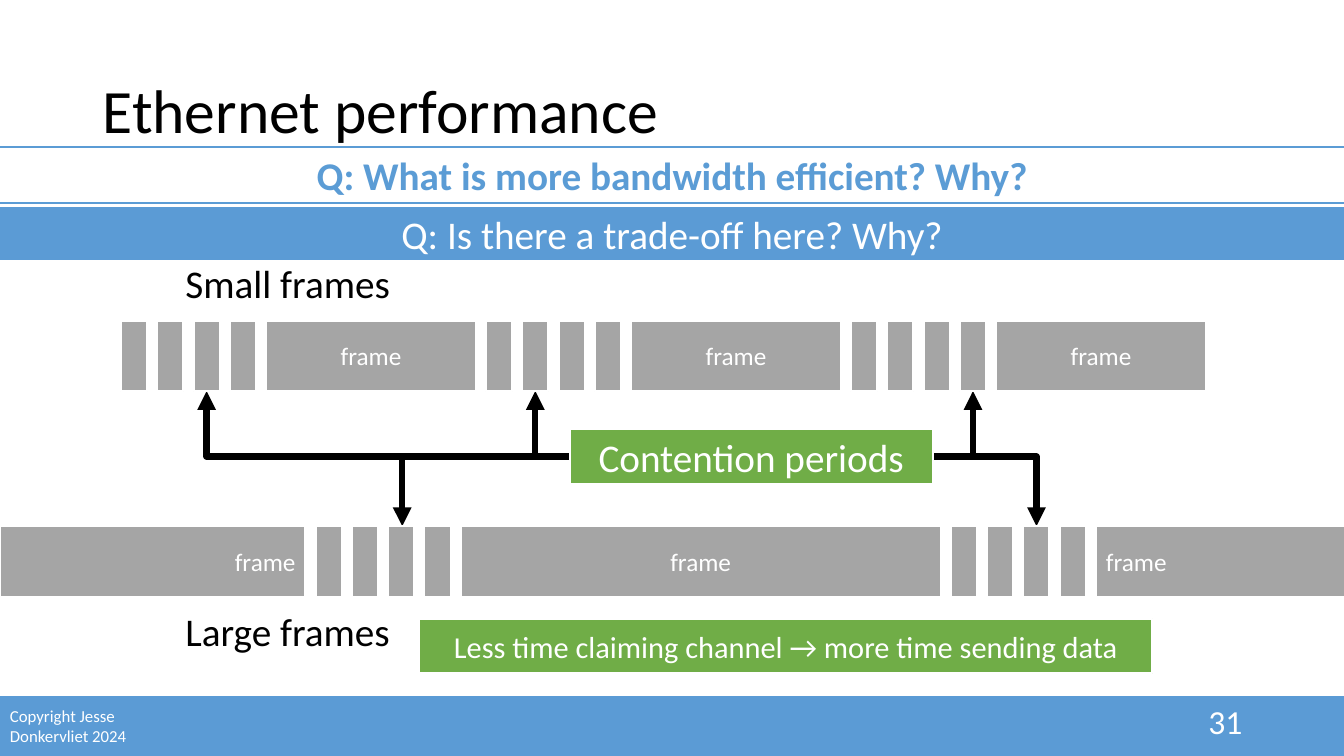
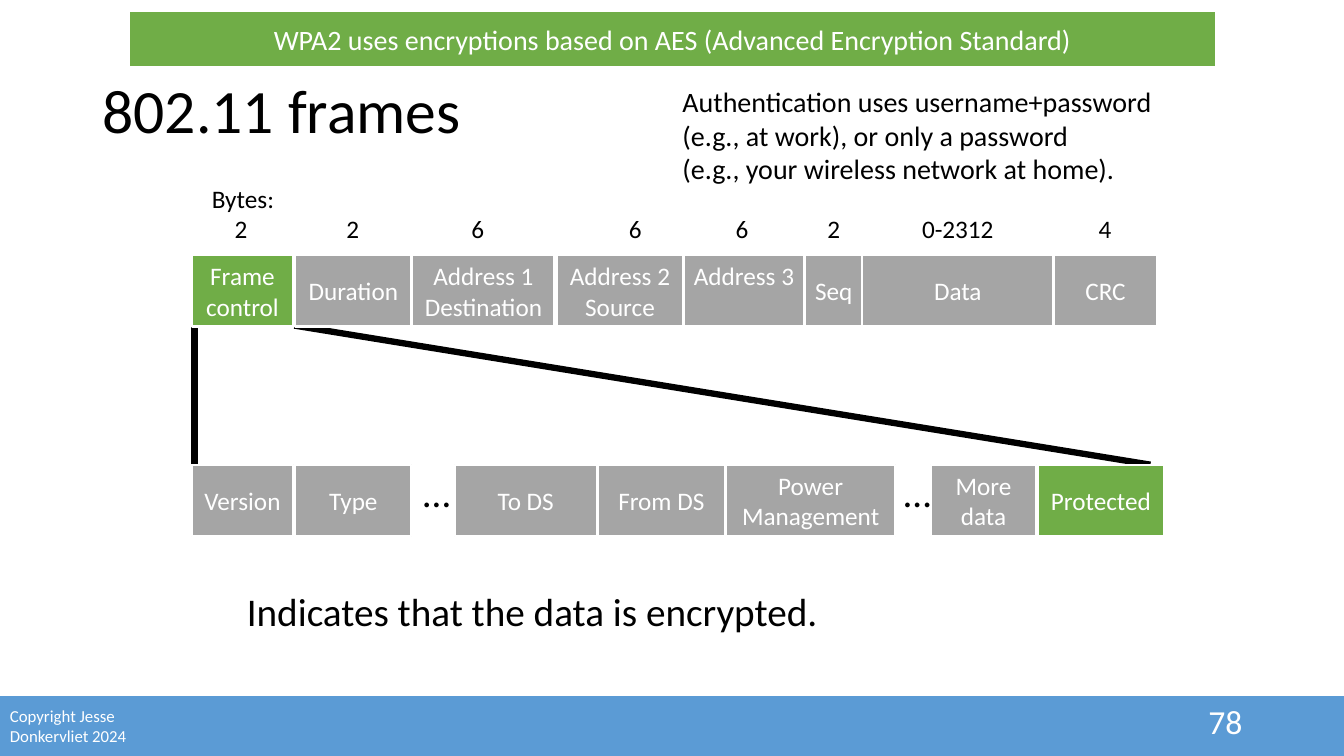
from dataclasses import dataclass
from typing import Any, Optional

import lxml.etree
import pptx
import pptx.dml.color
import pptx.enum.shapes
import pptx.enum.text
import pptx.oxml.ns
import pptx.util

RGBColor = pptx.dml.color.RGBColor
Inches = pptx.util.Inches
ALIGN = pptx.enum.text.PP_ALIGN
ANCHOR = pptx.enum.text.MSO_ANCHOR
CONNECTOR = pptx.enum.shapes.MSO_CONNECTOR

WHITE = RGBColor(0xFF, 0xFF, 0xFF)
BLACK = RGBColor(0x00, 0x00, 0x00)
BLUE = RGBColor(0x5B, 0x9B, 0xD5)
QUESTION_BLUE = RGBColor(0x5B, 0x9C, 0xD5)
GREEN = RGBColor(0x70, 0xAD, 0x47)
GRAY = RGBColor(0xA5, 0xA5, 0xA5)
FONT = "Calibri"

SLOT_WIDTH = 0.26
FRAME_GAP = 0.1
FRAME_HEIGHT = 0.7
SLOTS_PER_CONTENTION = 4
FIELD_HEIGHT = 0.71
BYTES_WIDTH = 1.2


@dataclass(frozen=True)
class Box:
    left: float
    top: float
    width: float
    height: float

    def lengths(self) -> list[int]:
        return [Inches(v) for v in (self.left, self.top, self.width, self.height)]


@dataclass(frozen=True)
class Style:
    size: float
    color: RGBColor = WHITE
    align: Any = ALIGN.CENTER
    anchor: Any = ANCHOR.MIDDLE
    bold: bool = False
    line_spacing: Optional[float] = None


@dataclass(frozen=True)
class Field:
    """One header field; size_center is where its byte count stands."""
    name: str
    left: float
    width: float
    size: str = ""
    size_center: float = 0
    fill: RGBColor = GRAY
    anchor: Any = ANCHOR.MIDDLE


@dataclass(frozen=True)
class Segment:
    """A frame, or an idle slot of a contention period when it has no label."""
    width: float
    label: str = ""
    align: Any = ALIGN.CENTER


@dataclass(frozen=True)
class Arrow:
    start_x: float
    end_x: float
    end_y: float


FRAME_TEXT = Style(18)
BYTES_TEXT = Style(18, BLACK, anchor=ANCHOR.BOTTOM)
BAND_TEXT = Style(28)
ROW_TITLE = Style(28, BLACK, ALIGN.LEFT)
TITLE = Style(44, BLACK, ALIGN.LEFT, line_spacing=0.9)
BODY = Style(28, BLACK, ALIGN.LEFT, ANCHOR.TOP, line_spacing=0.9)
ELLIPSIS = Style(28, BLACK, anchor=ANCHOR.TOP, line_spacing=0.9)
REMARK = Style(20, BLACK, ALIGN.LEFT, ANCHOR.TOP)

CONTENTION = [Segment(SLOT_WIDTH)] * SLOTS_PER_CONTENTION
SMALL_FRAMES = (CONTENTION + [Segment(2.08, "frame")]) * 3
LARGE_FRAMES = [
    Segment(3.03, "frame", ALIGN.RIGHT),
    *CONTENTION,
    Segment(4.76, "frame"),
    *CONTENTION,
    Segment(2.91, "frame", ALIGN.LEFT),
]

CONTENTION_Y = 4.53
SMALL_TIP_Y = 3.88
LARGE_TIP_Y = 5.22
CONTENTION_ARROWS = [
    Arrow(5.65, 5.31, SMALL_TIP_Y),
    Arrow(5.65, 2.05, SMALL_TIP_Y),
    Arrow(9.24, 9.65, SMALL_TIP_Y),
    Arrow(9.24, 10.28, LARGE_TIP_Y),
    Arrow(5.65, 3.99, LARGE_TIP_Y),
]

FRAME_FIELDS = [
    Field("Frame control", 1.9, 1.01, "2", 2.39, GREEN),
    Field("Duration", 2.93, 1.15, "2", 3.5),
    Field("Address 1\nDestination", 4.09, 1.41, "6", 4.74),
    Field("Address 2\nSource", 5.52, 1.26, "6", 6.3),
    Field("Address 3", 6.78, 1.2, "6", 7.36, anchor=ANCHOR.TOP),
    Field("Seq", 7.98, 0.58, "2", 8.27),
    Field("Data", 8.55, 1.9, "0-2312", 9.5),
    Field("CRC", 10.45, 1.03, "4", 10.96),
]
CONTROL_FIELDS = [
    Field("Version", 1.9, 1.01),
    Field("Type", 2.93, 1.15),
    Field("To DS", 4.51, 1.41),
    Field("From DS", 5.93, 1.26),
    Field("Power Management", 7.2, 1.68),
    Field("More data", 9.23, 1.05),
    Field("Protected", 10.29, 1.26, fill=GREEN),
]
SKIPPED_FIELD_CENTERS = (4.33, 9.1)


def write(shape: Any, text: str, style: Style) -> None:
    frame = shape.text_frame
    frame.text = text
    frame.word_wrap = True
    frame.vertical_anchor = style.anchor
    for paragraph in frame.paragraphs:
        paragraph.alignment = style.align
        if style.line_spacing:
            paragraph.line_spacing = style.line_spacing
        for run in paragraph.runs:
            run.font.name = FONT
            run.font.size = pptx.util.Pt(style.size)
            run.font.bold = style.bold
            run.font.color.rgb = style.color


def add_text(slide: Any, box: Box, text: str, style: Style) -> None:
    write(slide.shapes.add_textbox(*box.lengths()), text, style)


def add_block(slide: Any, box: Box, fill: RGBColor, text: str = "",
              style: Style = FRAME_TEXT, outline: RGBColor = WHITE) -> None:
    block = slide.shapes.add_shape(
        pptx.enum.shapes.MSO_SHAPE.RECTANGLE, *box.lengths())
    block.shadow.inherit = False
    block.fill.solid()
    block.fill.fore_color.rgb = fill
    block.line.color.rgb = outline
    block.line.width = pptx.util.Pt(1.5)
    if text:
        write(block, text, style)


def add_line(slide: Any, kind: Any, start: tuple[float, float],
             end: tuple[float, float]) -> Any:
    line = slide.shapes.add_connector(kind, *map(Inches, start + end))
    line.line.color.rgb = BLACK
    line.line.width = pptx.util.Pt(4.5)
    lxml.etree.SubElement(line._element.spPr, pptx.oxml.ns.qn("a:effectLst"))
    return line


def add_bent_arrow(slide: Any, arrow: Arrow) -> None:
    """Run level from the contention label, then turn once to the tip."""
    line = add_line(slide, CONNECTOR.ELBOW, (arrow.start_x, CONTENTION_Y),
                    (arrow.end_x, arrow.end_y))
    properties = line._element.spPr
    geometry = properties.find(pptx.oxml.ns.qn("a:prstGeom"))
    geometry.set("prst", "bentConnector2")
    outline = properties.find(pptx.oxml.ns.qn("a:ln"))
    lxml.etree.SubElement(outline, pptx.oxml.ns.qn("a:tailEnd"), type="triangle")


def add_base_slide(deck: Any, title: str, number: int) -> Any:
    """Add a slide with the shared title and footer."""
    slide = deck.slides.add_slide(deck.slide_layouts[6])
    add_block(slide, Box(-0.31, 6.89, 13.95, 0.81), BLUE)
    add_text(slide, Box(0, 6.95, 1.47, 0.5), "Copyright Jesse Donkervliet 2024",
             Style(12, align=ALIGN.LEFT))
    add_text(slide, Box(9.42, 6.95, 3, 0.4), str(number),
             Style(24, align=ALIGN.RIGHT))
    add_text(slide, Box(0.92, 0.4, 11.5, 1.45), title, TITLE)
    return slide


def add_channel(slide: Any, left: float, top: float,
                segments: list[Segment]) -> None:
    """Lay frames and slots side by side along the time axis."""
    for segment in segments:
        add_block(slide, Box(left, top, segment.width, FRAME_HEIGHT), GRAY,
                  segment.label, Style(18, align=segment.align))
        left += segment.width + FRAME_GAP


def add_fields(slide: Any, top: float, fields: list[Field]) -> None:
    for field in fields:
        add_block(slide, Box(field.left, top, field.width, FIELD_HEIGHT),
                  field.fill, field.name, Style(18, anchor=field.anchor))
        if field.size:
            add_text(slide, Box(field.size_center - BYTES_WIDTH / 2, top - 0.4,
                                BYTES_WIDTH, 0.34), field.size, BYTES_TEXT)


def build_performance(deck: Any) -> None:
    slide = add_base_slide(deck, "Ethernet performance", 31)
    add_block(slide, Box(-0.26, 1.46, 13.85, 0.55), WHITE,
              "Q: What is more bandwidth efficient? Why?",
              Style(28, QUESTION_BLUE, bold=True), QUESTION_BLUE)
    for arrow in CONTENTION_ARROWS:
        add_bent_arrow(slide, arrow)
    add_block(slide, Box(5.65, 4.26, 3.6, 0.54), GREEN, "Contention periods",
              BAND_TEXT)
    add_channel(slide, 1.2, 3.18, SMALL_FRAMES)
    add_text(slide, Box(1.74, 2.54, 3.6, 0.54), "Small frames", ROW_TITLE)
    add_channel(slide, 0, 5.22, LARGE_FRAMES)
    add_text(slide, Box(1.74, 5.99, 3.6, 0.54), "Large frames", ROW_TITLE)
    add_block(slide, Box(4.16, 6.14, 7.27, 0.54), GREEN,
              "Less time claiming channel → more time sending data", Style(21.7))
    add_block(slide, Box(-0.26, 2.04, 13.85, 0.55), BLUE,
              "Q: Is there a trade-off here? Why?", BAND_TEXT)


def build_wireless_frames(deck: Any) -> None:
    slide = add_base_slide(deck, "802.11 frames", 78)
    add_line(slide, CONNECTOR.STRAIGHT, (1.93, 3.23), (1.93, 4.6))
    add_line(slide, CONNECTOR.STRAIGHT, (2.92, 3.23), (11.41, 4.61))
    add_fields(slide, 4.61, CONTROL_FIELDS)
    for center in SKIPPED_FIELD_CENTERS:
        add_text(slide, Box(center - 0.3, 4.65, 0.6, 0.56), "…", ELLIPSIS)
    add_fields(slide, 2.53, FRAME_FIELDS)
    add_text(slide, Box(1.81, 1.83, BYTES_WIDTH, 0.34), "Bytes:", BYTES_TEXT)
    add_text(slide, Box(2.35, 5.83, 9.16, 0.92),
             "Indicates that the data is encrypted.", BODY)
    add_block(slide, Box(1.28, 0.11, 10.78, 0.56), GREEN,
              "WPA2 uses encryptions based on AES (Advanced Encryption Standard)",
              Style(20))
    add_text(slide, Box(6.67, 0.79, 5.38, 1.11),
             "Authentication uses username+password (e.g., at work), or only "
             "a password\v(e.g., your wireless network at home).", REMARK)


def main() -> None:
    deck = pptx.Presentation()
    deck.slide_width = Inches(13.33)
    deck.slide_height = Inches(7.5)
    build_performance(deck)
    build_wireless_frames(deck)
    deck.save("out.pptx")


if __name__ == "__main__":
    main()
